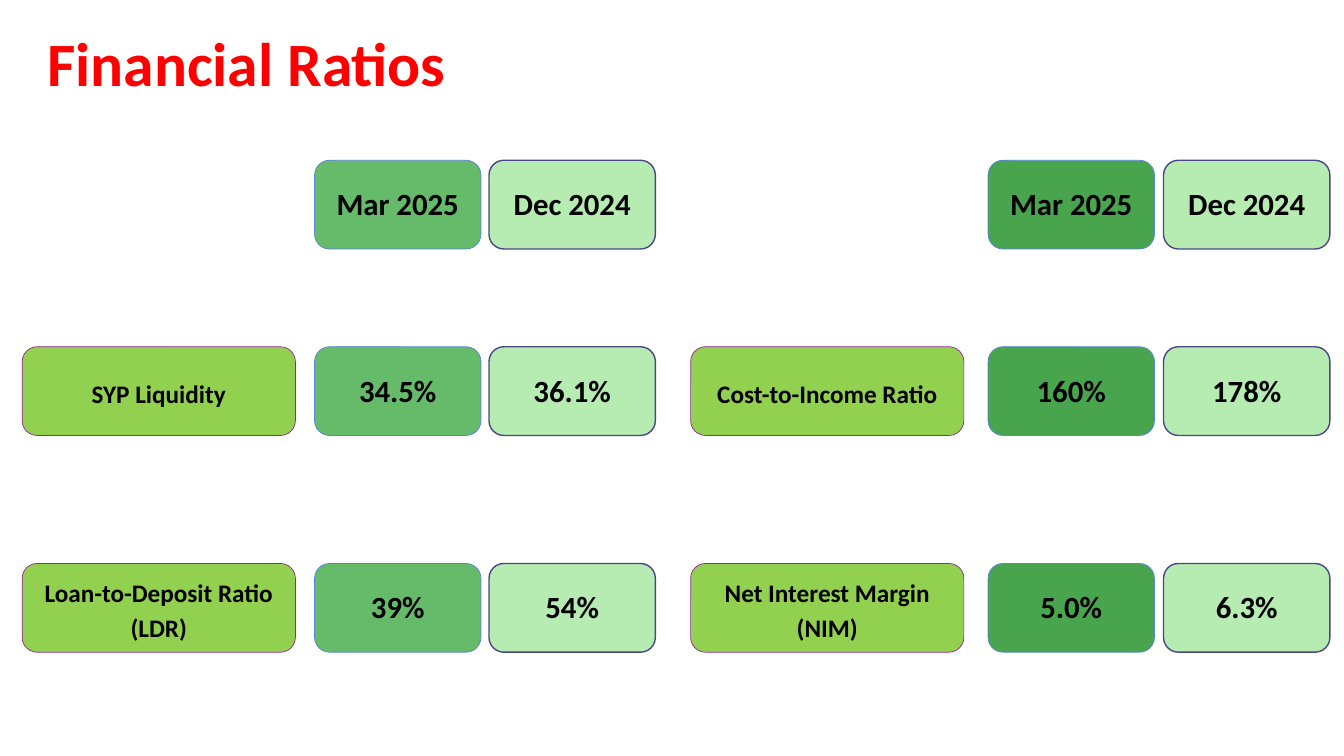
"""Build the Financial Ratios slide."""
from dataclasses import dataclass

from pptx import Presentation
from pptx.dml.color import RGBColor
from pptx.enum.shapes import MSO_SHAPE
from pptx.enum.text import MSO_ANCHOR, MSO_AUTO_SIZE, PP_ALIGN
from pptx.util import Inches, Pt

ROUND = MSO_SHAPE.ROUNDED_RECTANGLE
MIDDLE = MSO_ANCHOR.MIDDLE
LEFT, CENTER = PP_ALIGN.LEFT, PP_ALIGN.CENTER
NO_FIT = MSO_AUTO_SIZE.NONE

TITLE = "Financial Ratios"
HEADS = ([], ["Mar 2025"], ["Dec 2024"])
PANELS = [
    [
        HEADS,
        (["SYP Liquidity"], ["34.5%"], ["36.1%"]),
        (["Loan-to-Deposit Ratio", "(LDR)"], ["39%"], ["54%"]),
    ],
    [
        HEADS,
        (["Cost-to-Income Ratio"], ["160%"], ["178%"]),
        (["Net Interest Margin (NIM)"], ["5.0%"], ["6.3%"]),
    ],
]


@dataclass(frozen=True)
class Theme:
    """Fonts, type sizes and colours."""
    font: str = "Calibri"
    title: int = 44
    label: int = 18
    value: int = 22
    lead: float = 24.5
    red: str = "FF0000"
    ink: str = "000000"
    lime: str = "92D050"
    greens: tuple = ("65BB69", "49A54D")
    pale: str = "B6ECB2"
    plum: str = "92278F"
    blue: str = "5982DB"
    navy: str = "4B4688"


THEME = Theme()
LEFTS = ((0.22, 3.12, 4.85), (6.85, 9.8, 11.54))
TOPS = (1.59, 3.44, 5.59)
WIDTHS = (2.71, 1.65, 1.65)
HEIGHT = 0.88


def add_run(para, text, size, color):
    """Add one bold run."""
    run = para.add_run()
    run.text = text
    run.font.name = THEME.font
    run.font.size = Pt(size)
    run.font.bold = True
    run.font.color.rgb = RGBColor.from_string(color)


def add_title(slide):
    """Place the slide title."""
    title = slide.shapes.title
    title.left, title.top = Inches(0.37), Inches(0.1)
    title.width, title.height = Inches(4.23), Inches(1.12)
    frame = title.text_frame
    frame.auto_size = NO_FIT
    frame.vertical_anchor = MIDDLE
    para = frame.paragraphs[0]
    para.alignment = LEFT
    para.line_spacing = 0.9
    add_run(para, TITLE, THEME.title, THEME.red)


def add_card(slide, left, top, width, lines, size, look):
    """Draw one rounded card with centred text."""
    fill, edge, weight = look
    card = slide.shapes.add_shape(
        ROUND, Inches(left), Inches(top), Inches(width), Inches(HEIGHT))
    card.shadow.inherit = False
    card.fill.solid()
    card.fill.fore_color.rgb = RGBColor.from_string(fill)
    card.line.color.rgb = RGBColor.from_string(edge)
    card.line.width = Pt(weight)
    frame = card.text_frame
    frame.word_wrap = True
    frame.vertical_anchor = MIDDLE
    for i, line in enumerate(lines):
        para = frame.add_paragraph() if i else frame.paragraphs[0]
        para.alignment = CENTER
        para.line_spacing = Pt(THEME.lead)
        add_run(para, line, size, THEME.ink)


def add_panel(slide, rows, lefts, green):
    """Draw one grid of ratios."""
    looks = (
        (THEME.lime, THEME.plum, 0.5),
        (green, THEME.blue, 0.5),
        (THEME.pale, THEME.navy, 1),
    )
    sizes = (THEME.label, THEME.value, THEME.value)
    for top, row in zip(TOPS, rows):
        for left, width, lines, size, look in zip(
                lefts, WIDTHS, row, sizes, looks):
            if lines:
                add_card(slide, left, top, width, lines, size, look)


def main():
    """Build and save the deck."""
    deck = Presentation()
    deck.slide_width, deck.slide_height = Inches(13.33), Inches(7.5)
    slide = deck.slides.add_slide(deck.slide_layouts[5])
    add_title(slide)
    for rows, lefts, green in zip(PANELS, LEFTS, THEME.greens):
        add_panel(slide, rows, lefts, green)
    deck.save("out.pptx")


if __name__ == "__main__":
    main()
